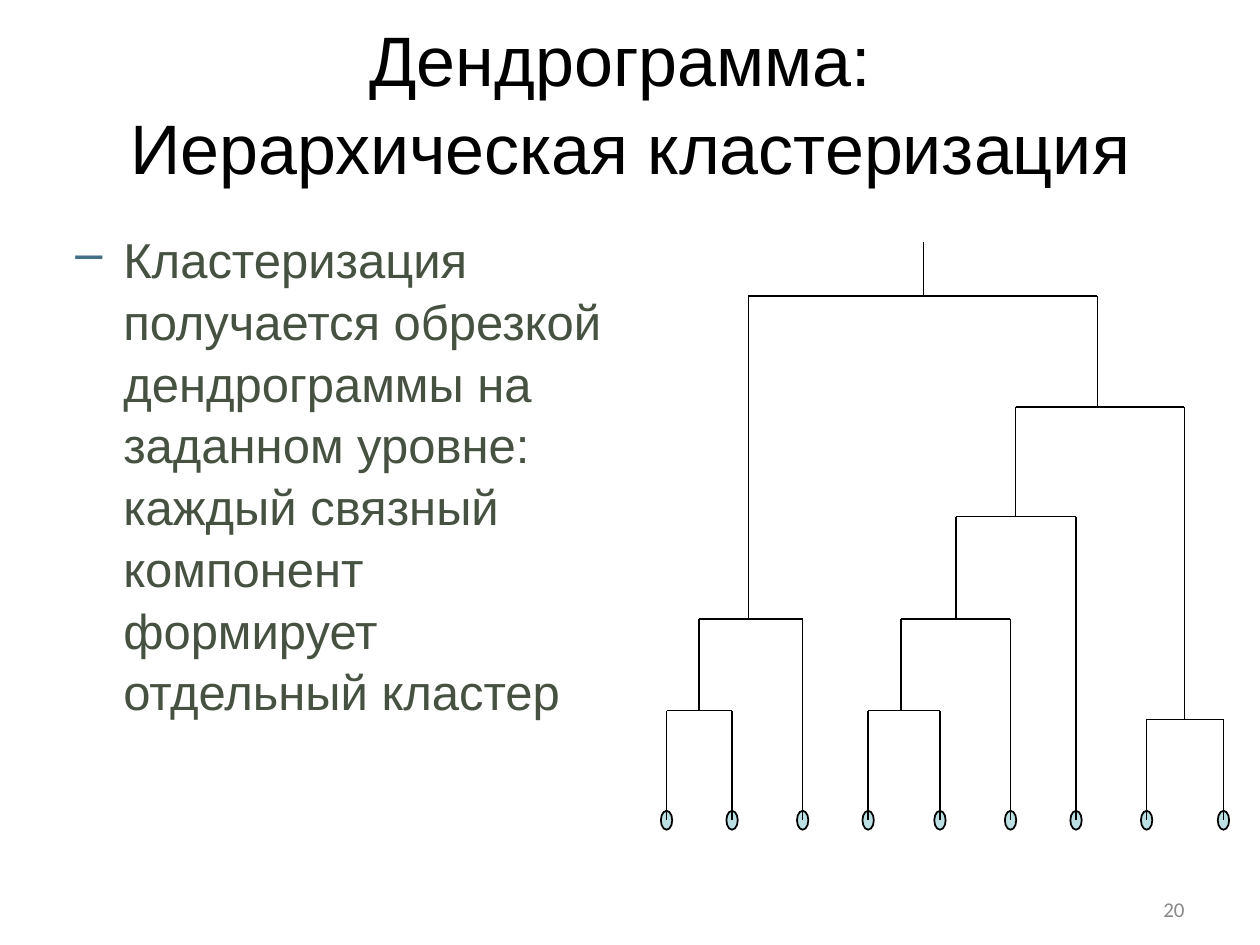
"""Build a slide that explains cutting a dendrogram into clusters."""
from dataclasses import dataclass

from lxml import etree
from pptx import Presentation
from pptx import util as u
from pptx.dml.color import RGBColor
from pptx.enum import shapes, text
from pptx.oxml import ns


@dataclass(frozen=True)
class Theme:
    """Colours, fonts and sizes of the slide."""
    ink: str = "000000"
    body: str = "465142"
    bullet: str = "437085"
    muted: str = "898989"
    leaf: str = "BBE0E3"
    font: str = "Arial"
    number_font: str = "Calibri"
    title_size: int = 40
    body_size: int = 28
    number_size: int = 12
    line_width: int = 1


def write_text(tf, content, *, font, size, color, align, anchor, spacing=1.0):
    """Fill a text frame with one formatted paragraph."""
    tf.word_wrap = True
    tf.auto_size = text.MSO_AUTO_SIZE.NONE
    tf.vertical_anchor = anchor
    p = tf.paragraphs[0]
    p.text = content
    p.alignment = align
    p.line_spacing = spacing
    for r in p.runs:
        r.font.name = font
        r.font.size = u.Pt(size)
        r.font.color.rgb = RGBColor.from_string(color)
    return p


class SlideBuilder:
    """Hold the theme and the current slide."""

    def __init__(self, slide, theme):
        self.s = slide
        self.theme = theme

    def title(self, content, left, top, width, height):
        """Place and format the title placeholder."""
        sp = self.s.shapes.title
        sp.left, sp.top = u.Inches(left), u.Inches(top)
        sp.width, sp.height = u.Inches(width), u.Inches(height)
        write_text(sp.text_frame, content, font=self.theme.font,
                   size=self.theme.title_size, color=self.theme.ink,
                   align=text.PP_ALIGN.CENTER, anchor=text.MSO_ANCHOR.BOTTOM,
                   spacing=1.05)

    def textbox(self, content, left, top, width, height, **fmt):
        """Add a text box and return its paragraph."""
        sp = self.s.shapes.add_textbox(u.Inches(left), u.Inches(top),
                                       u.Inches(width), u.Inches(height))
        return write_text(sp.text_frame, content, **fmt)

    def bullet(self, p, char, indent):
        """Give a paragraph a coloured bullet with a hanging indent."""
        pPr = p._p.get_or_add_pPr()
        pPr.set("marL", str(u.Inches(indent)))
        pPr.set("indent", str(-u.Inches(indent)))
        clr = etree.SubElement(pPr, ns.qn("a:buClr"))
        etree.SubElement(clr, ns.qn("a:srgbClr"), val=self.theme.bullet)
        etree.SubElement(pPr, ns.qn("a:buChar"), char=char)

    def outline(self, line):
        """Apply the common line style."""
        line.color.rgb = RGBColor.from_string(self.theme.ink)
        line.width = u.Pt(self.theme.line_width)

    def leaf(self, x, y, width=0.09, height=0.15):
        """Add a leaf centred on a point."""
        sp = self.s.shapes.add_shape(
            shapes.MSO_SHAPE.OVAL, u.Inches(x - width / 2),
            u.Inches(y - height / 2), u.Inches(width), u.Inches(height))
        sp.shadow.inherit = False
        sp.fill.solid()
        sp.fill.fore_color.rgb = RGBColor.from_string(self.theme.leaf)
        self.outline(sp.line)

    def line(self, x1, y1, x2, y2):
        """Add a straight line."""
        c = self.s.shapes.add_connector(
            shapes.MSO_CONNECTOR.STRAIGHT, u.Inches(x1), u.Inches(y1),
            u.Inches(x2), u.Inches(y2))
        self.outline(c.line)
        etree.SubElement(c._element.spPr, ns.qn("a:effectLst"))

    def merge(self, left, right, x, y):
        """Join two nodes with a bracket and return the new node."""
        self.line(left[0], y, *left)
        self.line(left[0], y, right[0], y)
        self.line(right[0], y, *right)
        return x, y

    def dendrogram(self, xs, base, merges, top):
        """Draw the leaves, the merges from the bottom up and the root stem."""
        nodes = [(x, base) for x in xs]
        for node in nodes:
            self.leaf(*node)
        for left, right, x, y in merges:
            nodes.append(self.merge(nodes[left], nodes[right], x, y))
        x, y = nodes[-1]
        self.line(x, y, x, top)


def main():
    """Build and save the presentation."""
    prs = Presentation()
    prs.slide_width, prs.slide_height = u.Inches(10), u.Inches(7.5)
    theme = Theme()
    b = SlideBuilder(prs.slides.add_slide(prs.slide_layouts[5]), theme)

    b.title("Дендрограмма: \vИерархическая кластеризация", 0.5, 0.3, 9, 1.25)
    p = b.textbox(
        "Кластеризация получается обрезкой дендрограммы на заданном уровне: "
        "каждый связный компонент формирует отдельный кластер",
        0.5, 1.75, 4.42, 4.59, font=theme.font, size=theme.body_size,
        color=theme.body, align=text.PP_ALIGN.LEFT,
        anchor=text.MSO_ANCHOR.TOP, spacing=1.05)
    b.bullet(p, "–", 0.38)
    b.textbox("20", 7.17, 7.08, 2.33, 0.27, font=theme.number_font,
              size=theme.number_size, color=theme.muted,
              align=text.PP_ALIGN.RIGHT, anchor=text.MSO_ANCHOR.MIDDLE)

    leaves = [5.29, 5.81, 6.37, 6.89, 7.46, 8.02, 8.54, 9.1, 9.71]
    merges = [
        (0, 1, 5.55, 5.64),
        (3, 4, 7.15, 5.64),
        (7, 8, 9.4, 5.71),
        (9, 2, 5.94, 4.91),
        (10, 5, 7.59, 4.91),
        (13, 6, 8.06, 4.1),
        (14, 11, 8.71, 3.23),
        (12, 15, 7.33, 2.35),
    ]
    b.dendrogram(leaves, 6.51, merges, 1.92)
    prs.save("out.pptx")


if __name__ == "__main__":
    main()
